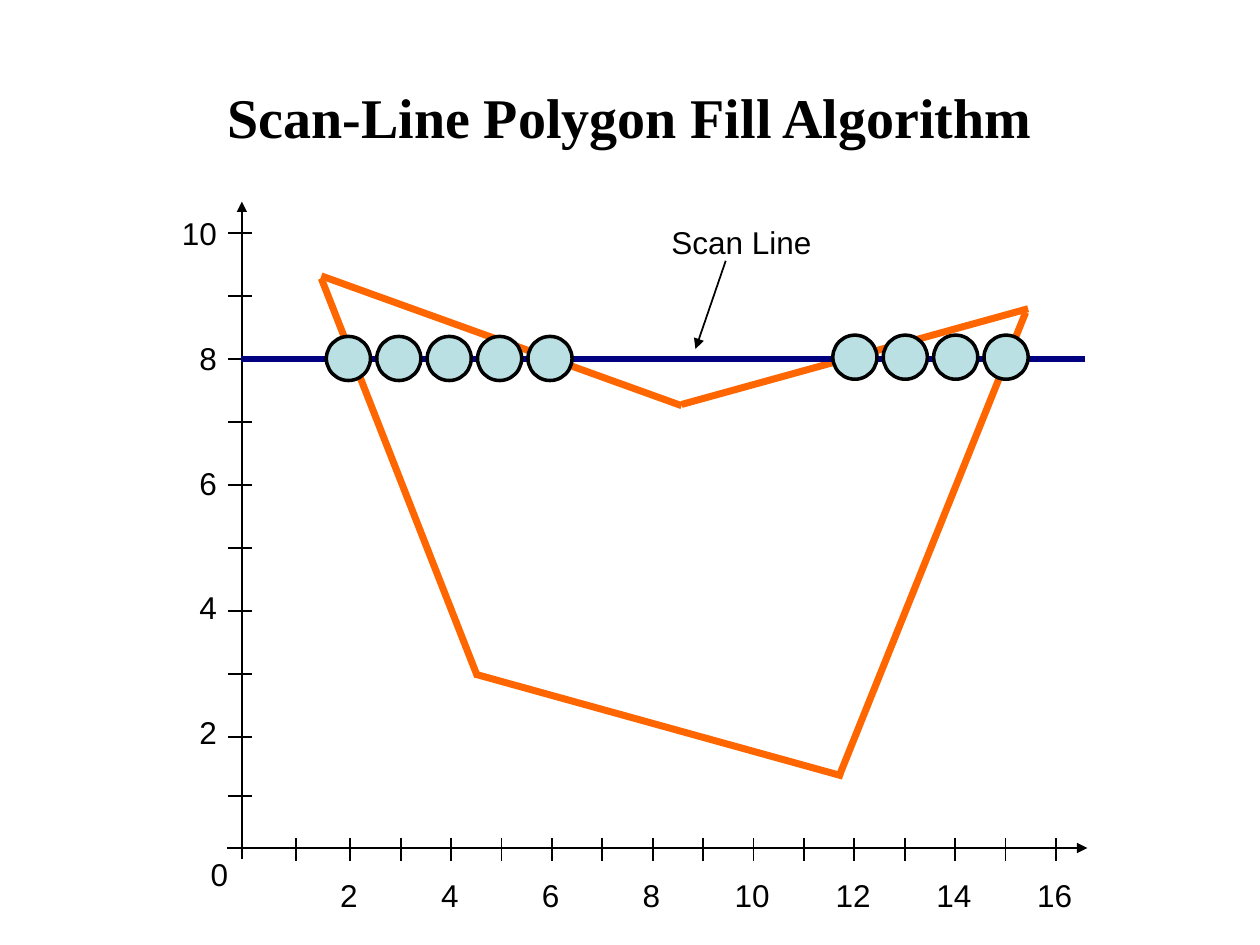
from dataclasses import dataclass

from lxml.etree import SubElement
from pptx import Presentation
from pptx.dml.color import RGBColor
from pptx.enum.shapes import MSO_CONNECTOR, MSO_SHAPE
from pptx.enum.text import MSO_ANCHOR, MSO_AUTO_SIZE, PP_ALIGN
from pptx.oxml.ns import qn
from pptx.util import Inches, Pt


@dataclass(frozen=True)
class Theme:
    ink: str = "000000"
    edge: str = "FF6600"
    scan: str = "000080"
    dot: str = "BBE0E3"
    head: str = "Times New Roman"
    body: str = "Arial"
    big: int = 32
    small: int = 18


def write(frame, text, font, size, color, bold=False, align=PP_ALIGN.LEFT):
    """Put one formatted paragraph into a text frame."""
    para = frame.paragraphs[0]
    para.alignment = align
    run = para.add_run()
    run.text = text
    run.font.name = font
    run.font.size = Pt(size)
    run.font.bold = bold
    run.font.color.rgb = RGBColor.from_string(color)


class Board:
    def __init__(self, slide, theme):
        self.slide = slide
        self.theme = theme

    def title(self, text):
        box = self.slide.shapes.title
        box.left, box.top = Inches(0.5), Inches(0.3)
        box.width, box.height = Inches(9), Inches(1.25)
        box.text_frame.vertical_anchor = MSO_ANCHOR.MIDDLE
        write(box.text_frame, text, self.theme.head, self.theme.big,
              self.theme.ink, bold=True, align=PP_ALIGN.CENTER)

    def line(self, start, end, color=None, width=1, arrow=False):
        item = self.slide.shapes.add_connector(
            MSO_CONNECTOR.STRAIGHT, *map(Inches, (*start, *end)))
        item.line.color.rgb = RGBColor.from_string(color or self.theme.ink)
        item.line.width = Pt(width)
        props = item._element.spPr
        if arrow:
            SubElement(props.find(qn("a:ln")), qn("a:tailEnd"), type="triangle")
        SubElement(props, qn("a:effectLst"))

    def label(self, text, left, top, width, align=PP_ALIGN.LEFT):
        box = self.slide.shapes.add_textbox(
            *map(Inches, (left, top, width, 0.4)))
        frame = box.text_frame
        frame.word_wrap = False
        frame.auto_size = MSO_AUTO_SIZE.SHAPE_TO_FIT_TEXT
        write(frame, text, self.theme.body, self.theme.small,
              self.theme.ink, align=align)

    def dot(self, left, top, size=0.35):
        item = self.slide.shapes.add_shape(
            MSO_SHAPE.OVAL, *map(Inches, (left, top, size, size)))
        item.shadow.inherit = False
        item.fill.solid()
        item.fill.fore_color.rgb = RGBColor.from_string(self.theme.dot)
        item.line.color.rgb = RGBColor.from_string(self.theme.ink)
        item.line.width = Pt(2)


def wide(num):
    """Width of the box for an axis number."""
    return 0.34 if num < 10 else 0.48


def main():
    deck = Presentation()
    deck.slide_width, deck.slide_height = Inches(10), Inches(7.5)
    theme = Theme()
    board = Board(deck.slides.add_slide(deck.slide_layouts[5]), theme)
    board.title("Scan-Line Polygon Fill Algorithm")

    # Polygon edges
    edges = [
        ((2.55, 2.21), (3.79, 5.37)),
        ((2.55, 2.19), (5.41, 3.22)),
        ((5.41, 3.21), (8.16, 2.45)),
        ((6.66, 6.16), (8.14, 2.48)),
        ((6.69, 6.16), (3.77, 5.35)),
    ]
    for start, end in edges:
        board.line(start, end, theme.edge, 4)

    # Axes
    board.line((1.92, 6.82), (1.92, 1.6), arrow=True)
    board.line((1.8, 6.73), (8.63, 6.73), arrow=True)

    # Ticks: the first one on each axis sits slightly off the even grid
    rows = [6.32] + [5.85 - 0.5 * step for step in range(9)]
    for y in rows:
        board.line((1.81, y), (2, y))
    cols = [2.35] + [2.78 + 0.4 * step for step in range(15)]
    for x in cols:
        board.line((x, 6.65), (x, 6.83))

    # Axis numbers
    board.label("0", 1.57, 6.74, wide(0), PP_ALIGN.RIGHT)
    for step, num in enumerate(range(10, 0, -2)):
        board.label(str(num), 1.82 - wide(num), 1.65 + 0.99 * step,
                    wide(num), PP_ALIGN.RIGHT)
    for step, num in enumerate(range(2, 17, 2)):
        board.label(str(num), 2.77 + 0.8 * step - wide(num) / 2, 6.9,
                    wide(num), PP_ALIGN.CENTER)

    # Scan line and the pixels it fills
    board.line((1.91, 2.85), (8.61, 2.85), theme.scan, 3)
    for left, top, count in ((2.59, 2.67, 5), (6.61, 2.66, 4)):
        for step in range(count):
            board.dot(left + 0.4 * step, top)

    # Callout
    board.label("Scan Line", 5.23, 1.72, 1.31)
    board.line((5.76, 2.07), (5.52, 2.77), arrow=True)

    deck.save("out.pptx")


if __name__ == "__main__":
    main()
